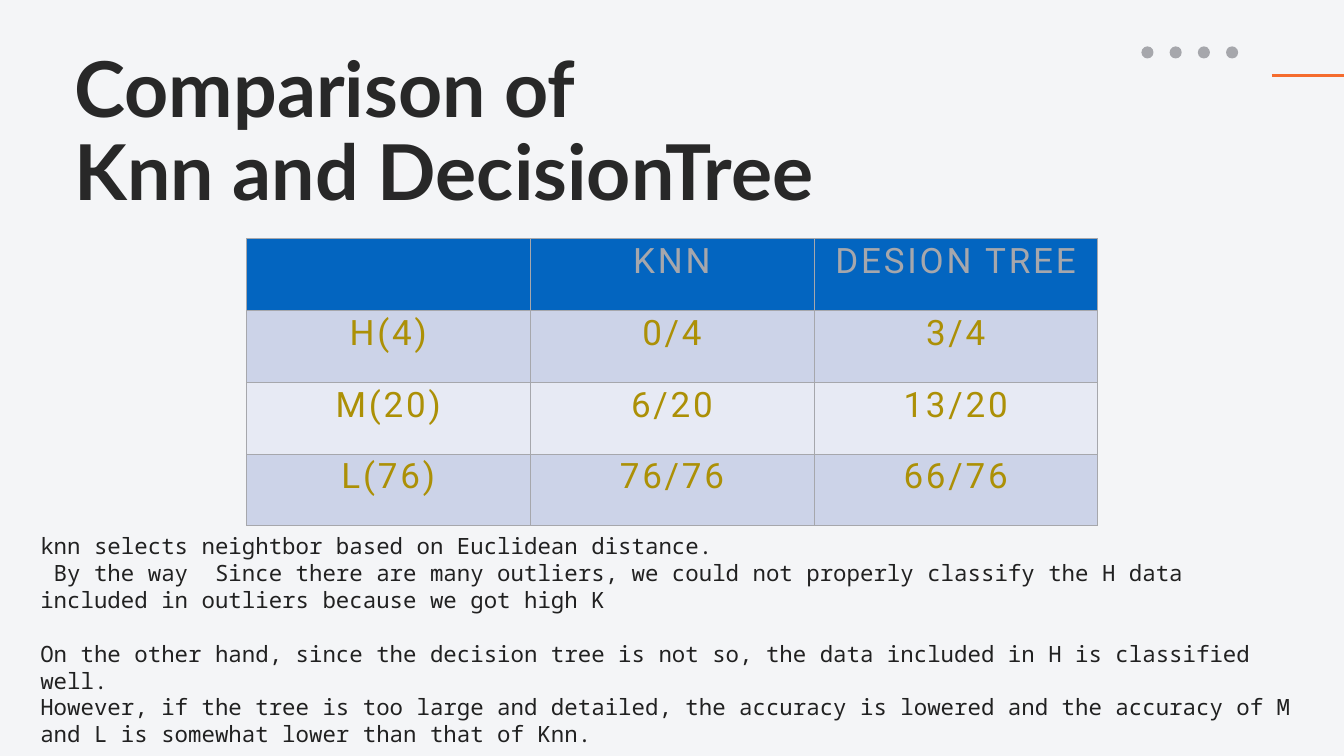
import pptx
import pptx.util
import pptx.dml.color
import pptx.enum.shapes
import pptx.enum.text
import pptx.oxml
import pptx.oxml.ns

Inches, Pt = pptx.util.Inches, pptx.util.Pt
ALIGN, ANCHOR = pptx.enum.text.PP_ALIGN, pptx.enum.text.MSO_ANCHOR
GREY = "A6A7AC"
ROWS = [
    ("", "knn", "Desion tree"),
    ("H(4)", "0/4", "3/4"),
    ("M(20)", "6/20", "13/20"),
    ("L(76)", "76/76", "66/76"),
]
FILLS = ["0365C0", "CCD3E8", "E7EAF4", "CCD3E8"]
NOTES = [
    "knn selects neightbor based on Euclidean distance.",
    " By the way  Since there are many outliers, we could not properly classify "
    "the H data included in outliers because we got high K",
    "On the other hand, since the decision tree is not so, the data included in H "
    "is classified well.",
    "However, if the tree is too large and detailed, the accuracy is lowered and "
    "the accuracy of M and L is somewhat lower than that of Knn.",
]


def color(code):
    return pptx.dml.color.RGBColor.from_string(code)


def paint(fill, code):
    fill.solid()
    fill.fore_color.rgb = color(code)


def style(par, face, size, code, bold=False):
    font = par.font
    font.name, font.size, font.bold = face, Pt(size), bold
    font.color.rgb = color(code)


def inset(frame, gap):
    frame.margin_left = frame.margin_right = Inches(gap)
    frame.margin_top = frame.margin_bottom = Inches(gap)
    frame.word_wrap = True


def add_xml(parent, text):
    space = pptx.oxml.ns.nsdecls("a")
    parent.append(pptx.oxml.parse_xml(text.replace(" ", f" {space} ", 1)))


def add_title(slide, left, top, width, height):
    title = slide.shapes.title
    title.left, title.top = Inches(left), Inches(top)
    title.width, title.height = Inches(width), Inches(height)
    frame = title.text_frame
    inset(frame, 0.04)
    frame.auto_size = pptx.enum.text.MSO_AUTO_SIZE.NONE
    frame.vertical_anchor = ANCHOR.TOP
    frame.text = "Comparison of\nKnn and DecisionTree"
    for par in frame.paragraphs:
        par.alignment, par.line_spacing = ALIGN.JUSTIFY, 0.9
        par.space_before = Pt(0)
        style(par, "Lato", 110, "282828", True)


def add_corner(slide, left, top, width):
    # Plain dots for the social links
    size, step = 0.24, 0.56
    for i in range(4):
        dot = slide.shapes.add_shape(
            pptx.enum.shapes.MSO_SHAPE.OVAL, Inches(left + i * step),
            Inches(top), Inches(size), Inches(size))
        dot.shadow.inherit = False
        paint(dot.fill, GREY)
        dot.line.fill.background()
    # Accent rule running to the slide edge
    y = Inches(top + 0.58)
    rule = slide.shapes.add_connector(
        pptx.enum.shapes.MSO_CONNECTOR.STRAIGHT,
        Inches(left + 2.59), y, Inches(left + width), y)
    rule.line.color.rgb = color("F56C2E")
    rule.line.width = Pt(4)
    add_xml(rule._element.spPr, "<a:effectLst />")


def add_edges(cell):
    props = cell._tc.get_or_add_tcPr()
    for i, side in enumerate("LRTB"):
        add_xml(props, f'<a:ln{side} w="12700"><a:solidFill><a:srgbClr val="{GREY}"/>'
                f'</a:solidFill></a:ln{side}>')
        props.insert(i, props[-1])  # edges come before the fill


def add_scores(slide, left, top, width, height):
    table = slide.shapes.add_table(
        len(ROWS), len(ROWS[0]), Inches(left), Inches(top),
        Inches(width), Inches(height)).table
    for row, values, code in zip(table.rows, ROWS, FILLS):
        for cell, value in zip(row.cells, values):
            paint(cell.fill, code)
            add_edges(cell)
            cell.text = value
            par = cell.text_frame.paragraphs[0]
            par.alignment = ALIGN.CENTER
            style(par, "Roboto", 50, GREY if values is ROWS[0] else "AC9006")
            for run in par.runs:
                props = run._r.get_or_add_rPr()
                props.set("cap", "all")
                props.set("spc", "400")


def add_notes(slide, left, top, width, height):
    box = slide.shapes.add_textbox(
        Inches(left), Inches(top), Inches(width), Inches(height))
    frame = box.text_frame
    inset(frame, 0)
    frame.vertical_anchor = ANCHOR.MIDDLE
    frame.text = "\n".join(NOTES)
    for par in frame.paragraphs:
        par.line_spacing = Pt(38.4)
        style(par, "Noto Sans Mono", 32, "212121")
    frame.paragraphs[2].space_before = Pt(38.4)  # gap between the two models


def main():
    deck = pptx.Presentation()
    deck.slide_width, deck.slide_height = Inches(26.67), Inches(15)
    slide = deck.slides.add_slide(deck.slide_layouts[5])
    paint(slide.background.fill, "F4F5F7")
    add_corner(slide, 22.65, 0.92, 4.02)
    add_scores(slide, 4.89, 4.73, 16.89, 5.7)
    add_title(slide, 1.44, 0.97, 16.89, 3.76)
    # Notes start just below the table
    add_notes(slide, 0.8, 10.56, 24.94, 4.27)
    deck.save("out.pptx")


if __name__ == "__main__":
    main()
